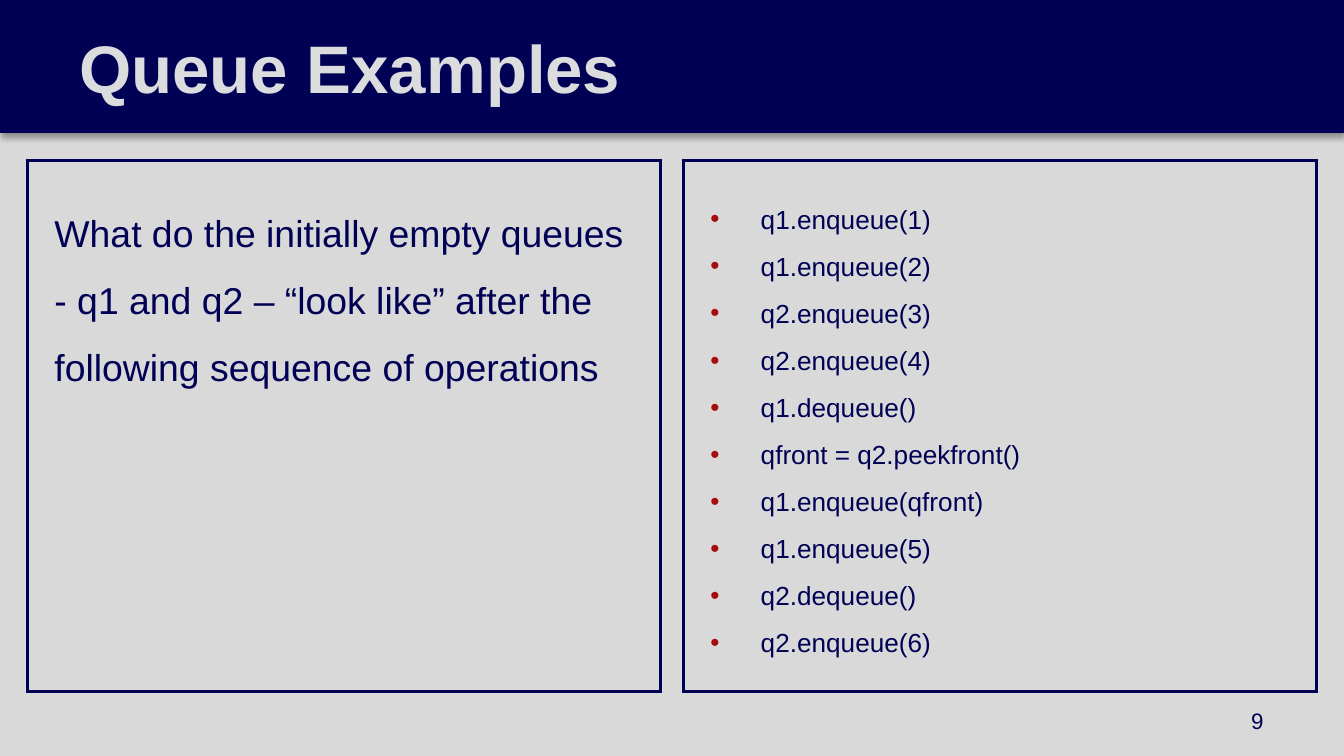
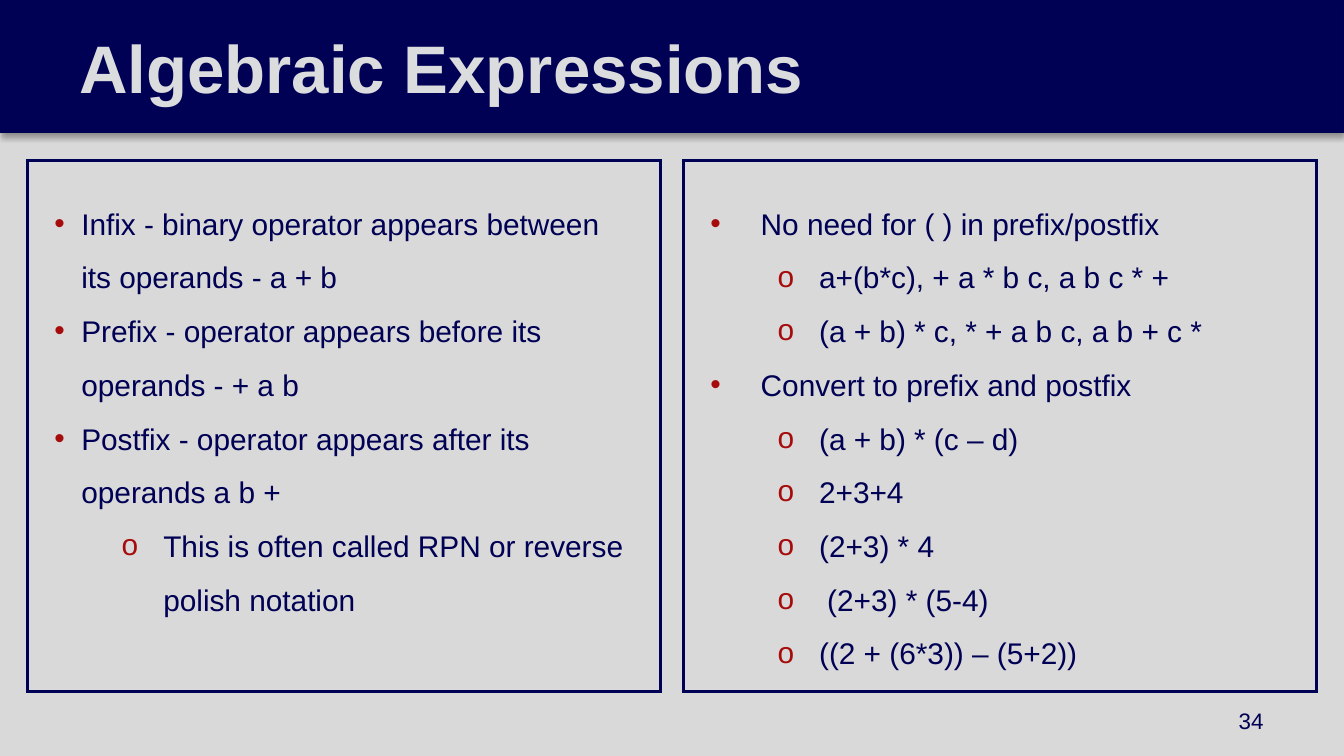
from typing import NamedTuple

from lxml.etree import SubElement
from pptx import Presentation
from pptx.dml.color import RGBColor
from pptx.enum.shapes import MSO_SHAPE
from pptx.enum.text import MSO_ANCHOR, PP_ALIGN
from pptx.oxml.ns import qn
from pptx.util import Pt

PX = 4572  # 200 px to the inch
WIDTH, HEIGHT = 2000, 1125
FONT = "Arial"
NAVY = RGBColor(0x00, 0x00, 0x54)
EDGE = RGBColor(0x00, 0x00, 0x52)
GREY = RGBColor(0xD9, 0xD9, 0xD9)
PALE = RGBColor(0xDB, 0xDC, 0xDD)
RED = RGBColor(0xA6, 0x0C, 0x0C)


class Box(NamedTuple):
    left: int
    top: int
    width: int
    height: int


class Style(NamedTuple):
    margin: int = 0
    indent: int = 0
    bullet: str = ""
    level: int = 0


class Line(NamedTuple):
    text: str
    style: Style


class Panel(NamedTuple):
    size: int
    lines: list[Line]


class Page(NamedTuple):
    title: str
    number: int
    panels: list[Panel]


BAND = Box(0, 0, WIDTH, 197)
TITLE = Box(0, 0, 1806, 197)
FRAMES = [Box(left, 239, 942, 790) for left in (41, 1017)]
FOOT = Box(1434, 1043, 466, 60)

PLAIN = Style()
HEAD = Style(margin=38)
TIGHT = Style(40, -40, "•")
WIDE = Style(75, -75, "•")
SUB = Style(162, -62, "o", 1)
INSET = Style(174, -74, "o", 1)


def lines(style: Style, *texts: str) -> list[Line]:
    return [Line(text, style) for text in texts]


PAGES = [
    Page("Queue Examples", 9, [
        Panel(20, lines(
            PLAIN,
            "What do the initially empty queues - q1 and q2 – “look like” "
            "after the following sequence of operations")),
        Panel(14, lines(
            WIDE,
            "q1.enqueue(1)", "q1.enqueue(2)", "q2.enqueue(3)",
            "q2.enqueue(4)", "q1.dequeue()", "qfront = q2.peekfront()",
            "q1.enqueue(qfront)", "q1.enqueue(5)", "q2.dequeue()",
            "q2.enqueue(6)")),
    ]),
    Page("Algebraic Expressions", 34, [
        Panel(16, [
            *lines(TIGHT,
                   "Infix - binary operator appears between its operands - a + b",
                   "Prefix - operator appears before its operands - + a b",
                   "Postfix - operator appears after its operands a b +"),
            *lines(SUB, "This is often called RPN or reverse polish notation"),
        ]),
        Panel(16, [
            *lines(WIDE, "No need for ( ) in prefix/postfix"),
            *lines(SUB, "a+(b*c), + a * b c, a b c * +",
                   "(a + b) * c, * + a b c, a b + c *"),
            *lines(WIDE, "Convert to prefix and postfix"),
            *lines(SUB, "(a + b) * (c – d)", "2+3+4", "(2+3) * 4"),
            *lines(INSET, "(2+3) * (5-4)"),
            *lines(SUB, "((2 + (6*3)) – (5+2))"),
        ]),
    ]),
]


def add_rect(slide, box: Box, fill: RGBColor | None = None,
             edge: RGBColor | None = None, weight: float = 0):
    rect = slide.shapes.add_shape(MSO_SHAPE.RECTANGLE, *(n * PX for n in box))
    rect.shadow.inherit = False
    if fill is None:
        rect.fill.background()
    else:
        rect.fill.solid()
        rect.fill.fore_color.rgb = fill
    if edge is None:
        rect.line.fill.background()
    else:
        rect.line.color.rgb = edge
        rect.line.width = Pt(weight)
        stroke = rect._element.spPr.find(qn("a:ln"))
        SubElement(stroke, qn("a:miter"), lim="800000")
    return rect


def add_shadow(shape) -> None:
    """Drop a soft shadow straight down."""
    effects = shape._element.spPr.find(qn("a:effectLst"))
    outer = SubElement(effects, qn("a:outerShdw"), blurRad=str(Pt(3.1)),
                       dist=str(Pt(1.8)), dir="5400000", rotWithShape="0")
    tint = SubElement(outer, qn("a:srgbClr"), val="000000")
    SubElement(tint, qn("a:alpha"), val="35000")


def set_style(para, style: Style) -> None:
    """Set level, indents and bullet of a paragraph."""
    para.level = style.level
    props = para._p.get_or_add_pPr()
    props.set("marL", str(style.margin * PX))
    props.set("indent", str(style.indent * PX))
    if style.bullet:
        tint = SubElement(props, qn("a:buClr"))
        SubElement(tint, qn("a:srgbClr"), val=str(RED))
        SubElement(props, qn("a:buFont"), typeface=FONT)
        SubElement(props, qn("a:buChar"), char=style.bullet)


def write(shape, rows: list[Line], size: int, color: RGBColor = NAVY,
          pad: tuple[int, int] = (40, 40), anchor=MSO_ANCHOR.MIDDLE,
          align=PP_ALIGN.LEFT, space: float = 1.0, bold: bool = False) -> None:
    frame = shape.text_frame
    frame.word_wrap = True
    frame.vertical_anchor = anchor
    frame.margin_left = frame.margin_right = pad[0] * PX
    frame.margin_top = frame.margin_bottom = pad[1] * PX
    for index, row in enumerate(rows):
        para = frame.add_paragraph() if index else frame.paragraphs[0]
        para.text = row.text
        set_style(para, row.style)
        para.alignment = align
        para.line_spacing = space
        font = para.font
        font.name, font.size, font.bold = FONT, Pt(size), bold
        font.color.rgb = color


def add_page(deck, page: Page) -> None:
    slide = deck.slides.add_slide(deck.slide_layouts[6])
    slide.background.fill.solid()
    slide.background.fill.fore_color.rgb = GREY
    add_shadow(add_rect(slide, BAND, NAVY, EDGE, 0.75))
    write(add_rect(slide, TITLE, NAVY), lines(HEAD, page.title), 36, PALE,
          pad=(80, 20), bold=True)
    for box, panel in zip(FRAMES, page.panels):
        write(add_rect(slide, box, edge=NAVY, weight=1.5), panel.lines,
              panel.size, anchor=MSO_ANCHOR.TOP, space=1.5)
    foot = slide.shapes.add_textbox(*(n * PX for n in FOOT))
    write(foot, lines(PLAIN, str(page.number)), 12, pad=(20, 10),
          align=PP_ALIGN.RIGHT)


def main() -> None:
    deck = Presentation()
    deck.slide_width, deck.slide_height = WIDTH * PX, HEIGHT * PX
    for page in PAGES:
        add_page(deck, page)
    deck.save("out.pptx")


if __name__ == "__main__":
    main()
